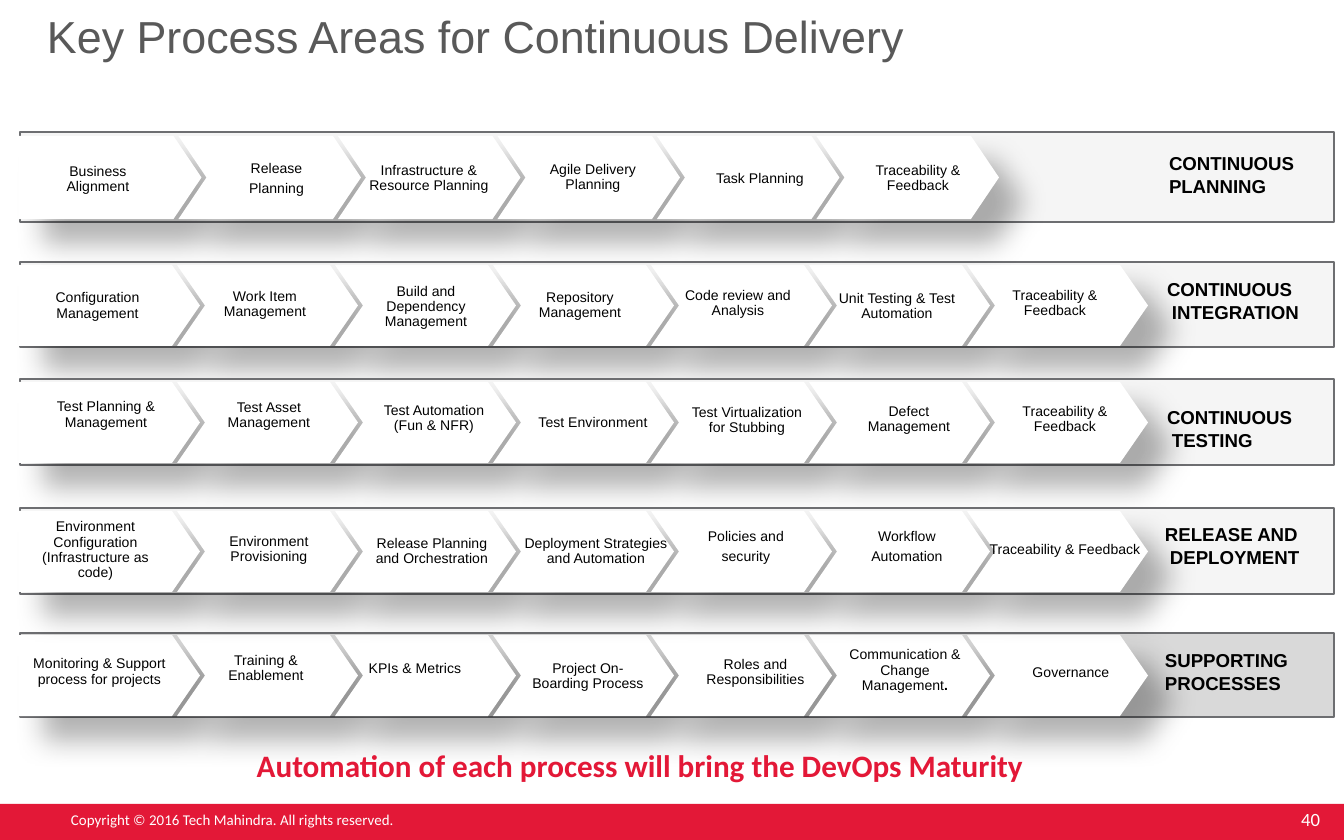
from dataclasses import dataclass

from lxml.etree import SubElement
from pptx import Presentation
from pptx.dml.color import RGBColor
from pptx.enum.shapes import MSO_SHAPE
from pptx.enum.text import MSO_ANCHOR as ANCHOR, PP_ALIGN as ALIGN
from pptx.oxml.ns import qn
from pptx.util import Pt


@dataclass(frozen=True)
class Theme:
    red: str = "E31837"
    white: str = "FFFFFF"
    black: str = "000000"
    title: str = "595959"
    edge: str = "6D6E71"
    pale: str = "F5F5F5"
    grey: str = "D9D9D9"
    sans: str = "Arial"
    alt: str = "Calibri"
    title_pt: float = 24
    claim_pt: float = 16.7
    head_pt: float = 10
    step_pt: float = 7.5
    number_pt: float = 10
    copyright_pt: float = 8


T = Theme()
PX = 914400 / 134.4
SLIDE_W, SLIDE_H = 1344, 840
LEFT, FRAME_LEFT, FRAME_W = 19, 20, 1314
GAP, POINT = 5, 28
STEP_W, STEP_H = 185, 71
SNUG, ROOMY = (35, 2, 30, 2), (42, 2, 38, 2)
HEAD_W, HEAD_H = 163, 46

TITLE = "Key Process Areas for Continuous Delivery"
CLAIM = "Automation of each process will bring the DevOps Maturity"
COPYRIGHT = "Copyright © 2016 Tech Mahindra. All rights reserved."
NUMBER = "40"

# Each step: text, left, top and, where they differ, width, height and insets.
ROWS = [
    dict(head="SUPPORTING\nPROCESSES", at=(1165, 649), indent=0, fill=T.grey,
         frame=(633, 84), band=(635, 81), tip=1148, steps=[
             ("Monitoring & Support process for projects", -14, 633, 223, 78, ROOMY),
             ("Training & Enablement", 171, 633),
             ("KPIs & Metrics", 320, 633),
             ("Project On-Boarding Process", 493, 641),
             ("Roles and Responsibilities", 650, 637, 206),
             ("Communication & Change Management.", 803, 635, 199),
             ("Governance", 976, 634, 185, 78)]),
    dict(head="CONTINUOUS\nINTEGRATION", at=(1167, 278), indent=5, fill=T.pale,
         frame=(262, 85), band=(265, 81), tip=1148, steps=[
             ("Configuration Management", -1, 268, 193, 76, ROOMY),
             ("Work Item Management", 170, 265, 185, 79),
             ("Build and Dependency Management", 331, 268, 185, 78),
             ("Repository Management", 485, 270),
             ("Code review and Analysis", 643, 268),
             ("Unit Testing & Test Automation", 802, 271),
             ("Traceability & Feedback", 960, 268)]),
    dict(head="CONTINUOUS\nTESTING", at=(1167, 406), indent=5, fill=T.pale,
         frame=(379, 86), band=(382, 81), tip=1148, steps=[
             ("Test Planning & Management", -8, 376, 223, 78),
             ("Test Asset Management", 174, 380),
             ("Test Automation (Fun & NFR)", 339, 383),
             ("Test Environment", 498, 387),
             ("Test Virtualization for Stubbing", 652, 385),
             ("Defect Management", 814, 384),
             ("Traceability & Feedback", 970, 384)]),
    dict(head="RELEASE AND\nDEPLOYMENT", at=(1165, 523), indent=5, fill=T.pale,
         frame=(508, 86), band=(511, 81), tip=1148, steps=[
             ("Environment Configuration (Infrastructure as code)", -18, 507, 223, 86, ROOMY),
             ("Environment Provisioning", 174, 514),
             ("Release Planning and Orchestration", 328, 516, 203),
             ("Deployment Strategies and Automation", 482, 516, 223),
             ("Policies and\nsecurity", 632, 512, 223),
             ("Workflow\nAutomation", 793, 512, 223),
             ("Traceability & Feedback", 951, 514, 223)]),
    dict(head="CONTINUOUS\nPLANNING", at=(1169, 152), indent=0, fill=T.pale,
         frame=(132, 90), band=(136, 83), tip=999, steps=[
             ("Release\nPlanning", 190, 140, 169, 78, ROOMY),
             ("Infrastructure & Resource Planning", 334, 143),
             ("Agile Delivery Planning", 498, 142),
             ("Task Planning", 665, 143),
             ("Business Alignment", 3, 144),
             ("Traceability & Feedback", 823, 143)]),
]


def emu(*lengths):
    return [round(v * PX) for v in lengths]


def rgb(value):
    return RGBColor.from_string(value)


def style(tf, size, color, font=T.sans, bold=False, align=ALIGN.LEFT,
          anchor=ANCHOR.TOP, insets=(0, 0, 0, 0)):
    tf.margin_left, tf.margin_top, tf.margin_right, tf.margin_bottom = emu(*insets)
    tf.word_wrap = True
    tf.vertical_anchor = anchor
    for p in tf.paragraphs:
        p.alignment = align
        for r in p.runs:
            r.font.size, r.font.name, r.font.bold = Pt(size), font, bold
            r.font.color.rgb = rgb(color)


def add_text(s, box, text, *args, **kwargs):
    tf = s.shapes.add_textbox(*emu(*box)).text_frame
    tf.text = text
    style(tf, *args, **kwargs)
    return tf


def add_rect(s, box, fill, edge=None):
    sp = s.shapes.add_shape(MSO_SHAPE.RECTANGLE, *emu(*box))
    sp.shadow.inherit = False
    sp.fill.solid()
    sp.fill.fore_color.rgb = rgb(fill)
    if edge:
        sp.line.color.rgb = rgb(edge)
        sp.line.width = Pt(0.75)
    else:
        sp.line.fill.background()


def add_shadow(sp):
    effects = sp.element.spPr.find(qn("a:effectLst"))
    shadow = SubElement(effects, qn("a:outerShdw"), blurRad=str(Pt(15)),
                        dist=str(Pt(18)), dir="2700000", algn="tl", rotWithShape="0")
    color = SubElement(shadow, qn("a:srgbClr"), val=T.black)
    SubElement(color, qn("a:alpha"), val="30000")


def add_outlines(s, outlines):
    scaled = [[(x * 10, y * 10) for x, y in points] for points in outlines]
    fb = s.shapes.build_freeform(*scaled[0][0], scale=PX / 10)
    for i, (start, *rest) in enumerate(scaled):
        if i:
            fb.move_to(*start)
        fb.add_line_segments(rest, close=True)
    sp = fb.convert_to_shape()
    sp.shadow.inherit = False
    sp.line.fill.background()
    return sp


def add_chevrons(s, top, height, tip, count):
    pitch = (tip - LEFT - POINT + GAP) / count
    middle, bottom = top + height / 2, top + height
    outlines = []
    for i in range(count):
        x = LEFT + i * pitch
        end = x + pitch - GAP
        notch = [(x + POINT, middle)] if i else []
        outlines.append([(x, top), (end, top), (end + POINT, middle),
                         (end, bottom), (x, bottom), *notch])
    sp = add_outlines(s, outlines)
    sp.fill.solid()
    sp.fill.fore_color.rgb = rgb(T.white)
    add_shadow(sp)


def add_step(s, text, x, y, width=STEP_W, height=STEP_H, insets=SNUG):
    right, bottom = x + width, y + height
    sp = add_outlines(s, [[(x, y), (right, y), (right, bottom), (x, bottom)]])
    sp.fill.background()
    body, dot, _ = text.partition(".")
    tf = sp.text_frame
    tf.text = body
    if dot:
        tf.paragraphs[0].add_run().text = dot
    style(tf, T.step_pt, T.black, align=ALIGN.CENTER, anchor=ANCHOR.MIDDLE, insets=insets)
    for p in tf.paragraphs:
        p.line_spacing = 0.9
        p.space_after = Pt(0.35 * T.step_pt)
    if dot:
        tf.paragraphs[0].runs[-1].font.bold = True


def add_row(s, row):
    top, height = row["frame"]
    add_rect(s, (FRAME_LEFT, top, FRAME_W, height), row["fill"], T.edge)
    tf = add_text(s, (*row["at"], HEAD_W, HEAD_H), row["head"], T.head_pt, T.black, bold=True)
    if row["indent"]:
        tf.paragraphs[1]._p.get_or_add_pPr().set("marL", str(emu(row["indent"])[0]))
    add_chevrons(s, *row["band"], row["tip"], len(row["steps"]))
    for step in row["steps"]:
        add_step(s, *step)


def main():
    prs = Presentation()
    prs.slide_width, prs.slide_height = emu(SLIDE_W, SLIDE_H)
    s = prs.slides.add_slide(prs.slide_layouts[5])
    title = s.shapes.title
    title.left, title.top, title.width, title.height = emu(47, 3, 1125, 66)
    title.text_frame.text = TITLE
    style(title.text_frame, T.title_pt, T.title, anchor=ANCHOR.MIDDLE)
    add_rect(s, (0, 804, SLIDE_W, 36), T.red)
    add_text(s, (1298, 807, 22, 24), NUMBER, T.number_pt, T.white, T.alt,
             align=ALIGN.RIGHT, anchor=ANCHOR.MIDDLE)
    add_text(s, (71, 811, 327, 18), COPYRIGHT, T.copyright_pt, T.white, T.alt)
    for row in ROWS:
        add_row(s, row)
    add_text(s, (95, 746, 1090, 38), CLAIM, T.claim_pt, T.red, T.alt,
             bold=True, align=ALIGN.CENTER)
    prs.save("out.pptx")


if __name__ == "__main__":
    main()
